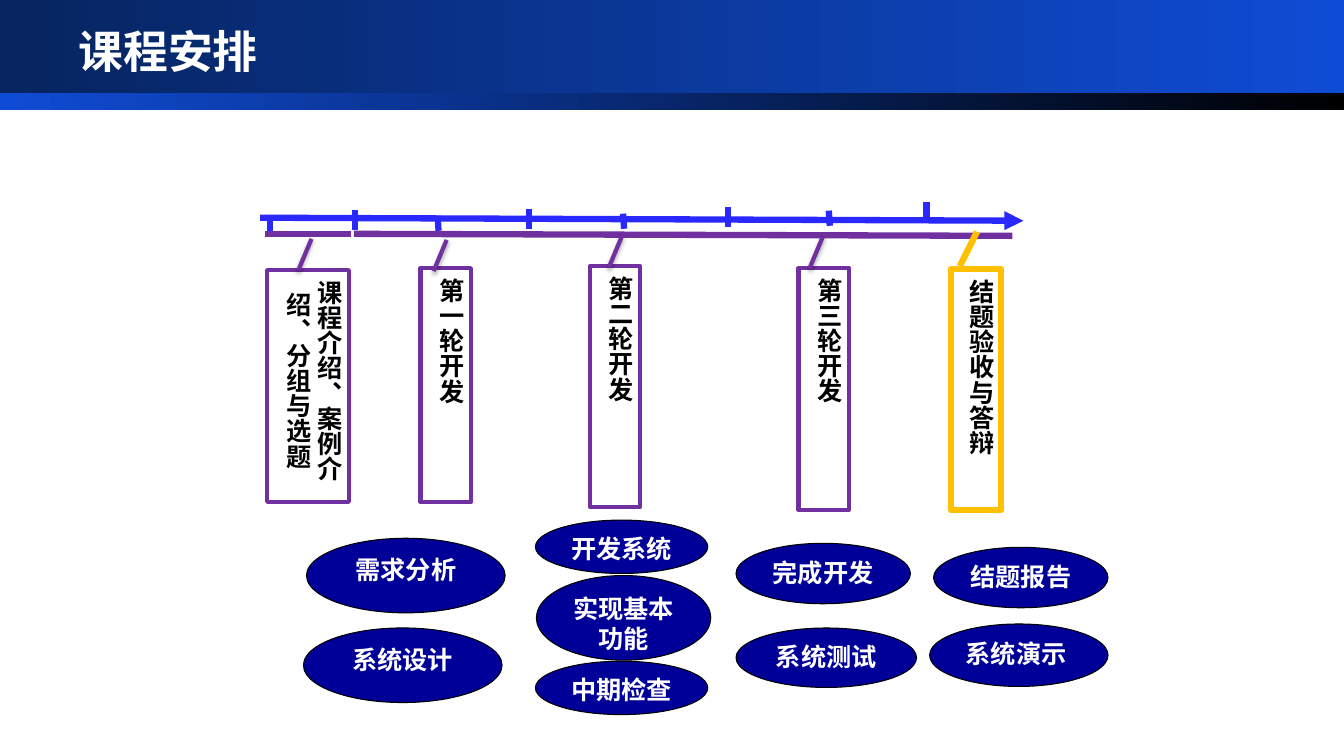
"""Build the course schedule slide: a timeline, its stages and their tasks."""
import pptx
import pptx.util
from lxml import etree
from pptx.dml.color import RGBColor
from pptx.enum.shapes import MSO_CONNECTOR, MSO_SHAPE
from pptx.enum.text import MSO_ANCHOR, PP_ALIGN
from pptx.oxml.ns import qn
from pptx.util import Inches, Pt

THEME = {
    "white": "FFFFFF", "black": "000000", "axis": "2929FF", "stage": "7030A0",
    "final": "FFC000", "task": "000099",
    "banner": ("06245F", "0F4CD5"), "strip": ("0F4CD5", "000000"),
    "latin": "Times New Roman", "cjk": "Noto Sans CJK SC",
    "title_size": 32, "body_size": 18,
    "thick": 4.5, "medium": 3, "thin": 0.75,
}
LEFT, CENTER = PP_ALIGN.LEFT, PP_ALIGN.CENTER

TITLE = "课程安排"
BANDS = [(0, 0.92, "banner"), (0.92, 0.17, "strip")]
AXIS = (2.58, 2.16, 10.15, 2.19)
LONG_TICKS = [(2.68, 2.33), (3.52, 2.28), (5.25, 2.27), (7.22, 2.25), (9.19, 2.2)]
SHORT_TICKS = [(4.35, 2.29), (6.19, 2.27), (8.23, 2.24)]
SPANS = [(2.63, 2.32, 3.48, 2.32), (3.51, 2.32, 10.04, 2.34)]
STAGES = [
    ("课程介绍、案例介绍、分组与选题", (2.65, 2.68, 0.81, 2.3), CENTER, (2.96, 2.68)),
    ("第一轮开发", (4.17, 2.66, 0.5, 2.32), LEFT, (4.3, 2.69)),
    ("第二轮开发", (5.85, 2.64, 0.5, 2.39), LEFT, (6.04, 2.65)),
    ("第三轮开发", (7.92, 2.66, 0.5, 2.4), LEFT, (8.03, 2.66)),
]
FINAL = ("结题验收与答辩", (9.43, 2.67, 0.5, 2.39), (9.52, 2.64, 9.69, 2.3))
TASKS = [
    ("需求分析", (3.04, 5.34, 1.97, 0.74), CENTER),
    ("系统设计", (3.01, 6.23, 1.97, 0.74), CENTER),
    ("开发系统", (5.31, 5.16, 1.71, 0.53), CENTER),
    ("实现基本功能", (5.32, 5.71, 1.73, 0.84), CENTER),
    ("中期检查", (5.31, 6.56, 1.71, 0.53), CENTER),
    ("完成开发", (7.3, 5.39, 1.73, 0.6), CENTER),
    ("系统测试", (7.3, 6.23, 1.79, 0.59), CENTER),
    ("结题报告", (9.26, 5.43, 1.73, 0.6), CENTER),
    ("系统演示", (9.22, 6.19, 1.77, 0.62), LEFT),
]

deck = pptx.Presentation()
deck.slide_width, deck.slide_height = Inches(13.33), Inches(7.5)
slide = deck.slides.add_slide(deck.slide_layouts[6])


def rgb(name):
    return RGBColor.from_string(THEME[name])


def write(frame, words, color, size, align, anchor):
    frame.word_wrap = True
    frame.vertical_anchor = anchor
    frame.text = words
    paragraph = frame.paragraphs[0]
    paragraph.alignment = align
    run = paragraph.runs[0]
    run.font.size = Pt(THEME[size])
    run.font.bold = True
    run.font.name = THEME["latin"]
    run.font.color.rgb = rgb(color)
    east_asian = etree.SubElement(run.font._element, qn("a:ea"))
    east_asian.set("typeface", THEME["cjk"])


def add_block(kind, box, line=None, width="medium", fill=None):
    block = slide.shapes.add_shape(kind, *map(Inches, box))
    block.shadow.inherit = False
    if fill:
        block.fill.solid()
        block.fill.fore_color.rgb = rgb(fill)
    else:
        block.fill.background()
    if line:
        block.line.color.rgb = rgb(line)
        block.line.width = Pt(THEME[width])
    else:
        block.line.fill.background()
    return block


def add_line(ends, color, width="thick", arrow=False, shadow=False):
    line = slide.shapes.add_connector(MSO_CONNECTOR.STRAIGHT, *map(Inches, ends))
    line.line.color.rgb = rgb(color)
    line.line.width = Pt(THEME[width])
    properties = line._element.spPr
    if arrow:
        etree.SubElement(properties.find(qn("a:ln")), qn("a:tailEnd")).set("type", "triangle")
    effects = etree.SubElement(properties, qn("a:effectLst"))
    if shadow:
        outer = etree.SubElement(effects, qn("a:outerShdw"), blurRad=str(Pt(3.1)),
                                 dist=str(Pt(1.8)), dir="5400000", rotWithShape="0")
        tint = etree.SubElement(outer, qn("a:srgbClr"), val=THEME["black"])
        etree.SubElement(tint, qn("a:alpha"), val="35000")


def add_stage(words, box, color, width, align):
    stage = add_block(MSO_SHAPE.RECTANGLE, box, color, width)
    write(stage.text_frame, words, "black", "body_size", align, MSO_ANCHOR.TOP)
    stage.text_frame._txBody.bodyPr.set("vert", "eaVert")


for top, height, colors in BANDS:
    band = add_block(MSO_SHAPE.RECTANGLE, (0, top, 13.33, height))
    band.fill.gradient()
    band.fill.gradient_angle = 0
    for stop, color, position in zip(band.fill.gradient_stops, THEME[colors], (0, 1)):
        stop.color.rgb = RGBColor.from_string(color)
        stop.position = position

heading = slide.shapes.add_textbox(*map(Inches, (0.68, 0.13, 11.43, 0.75)))
write(heading.text_frame, TITLE, "white", "title_size", LEFT, MSO_ANCHOR.MIDDLE)

add_line(AXIS, "axis", arrow=True)
for x, y in LONG_TICKS:
    add_line((x, y, x, y - 0.2), "axis")
for x, y in SHORT_TICKS:
    add_line((x, y, x - 0.01, y - 0.15), "axis")
for span in SPANS:
    add_line(span, "stage")

for words, box, align, (x, y) in STAGES:
    add_stage(words, box, "stage", "medium", align)
    add_line((x, y, x + 0.13, y - 0.31), "stage", "medium", shadow=True)
words, box, pointer = FINAL
add_stage(words, box, "final", "thick", LEFT)
add_line(pointer, "final")

for words, box, align in TASKS:
    task = add_block(MSO_SHAPE.OVAL, box, "black", "thin", "task")
    write(task.text_frame, words, "white", "body_size", align, MSO_ANCHOR.TOP)

deck.save("out.pptx")
